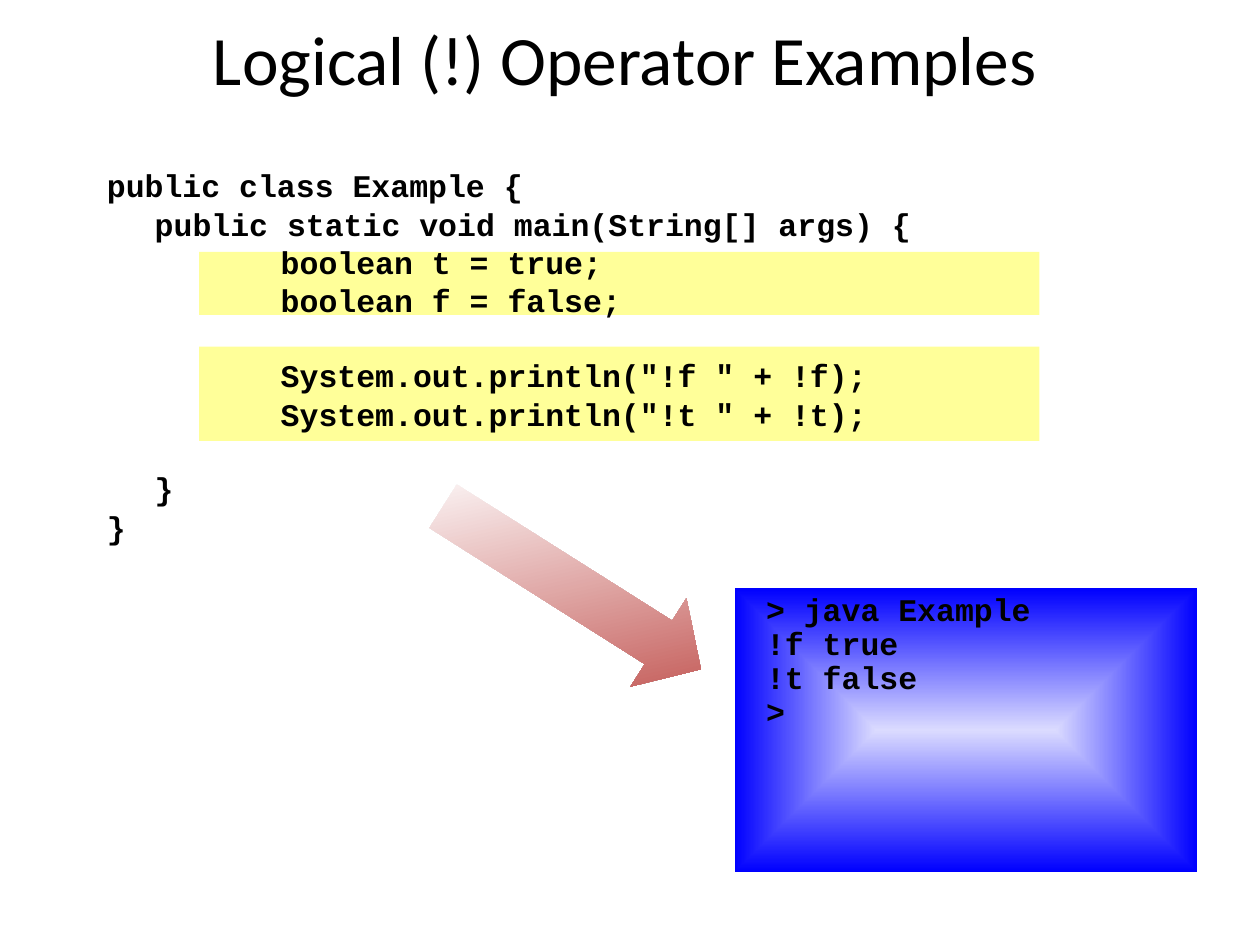
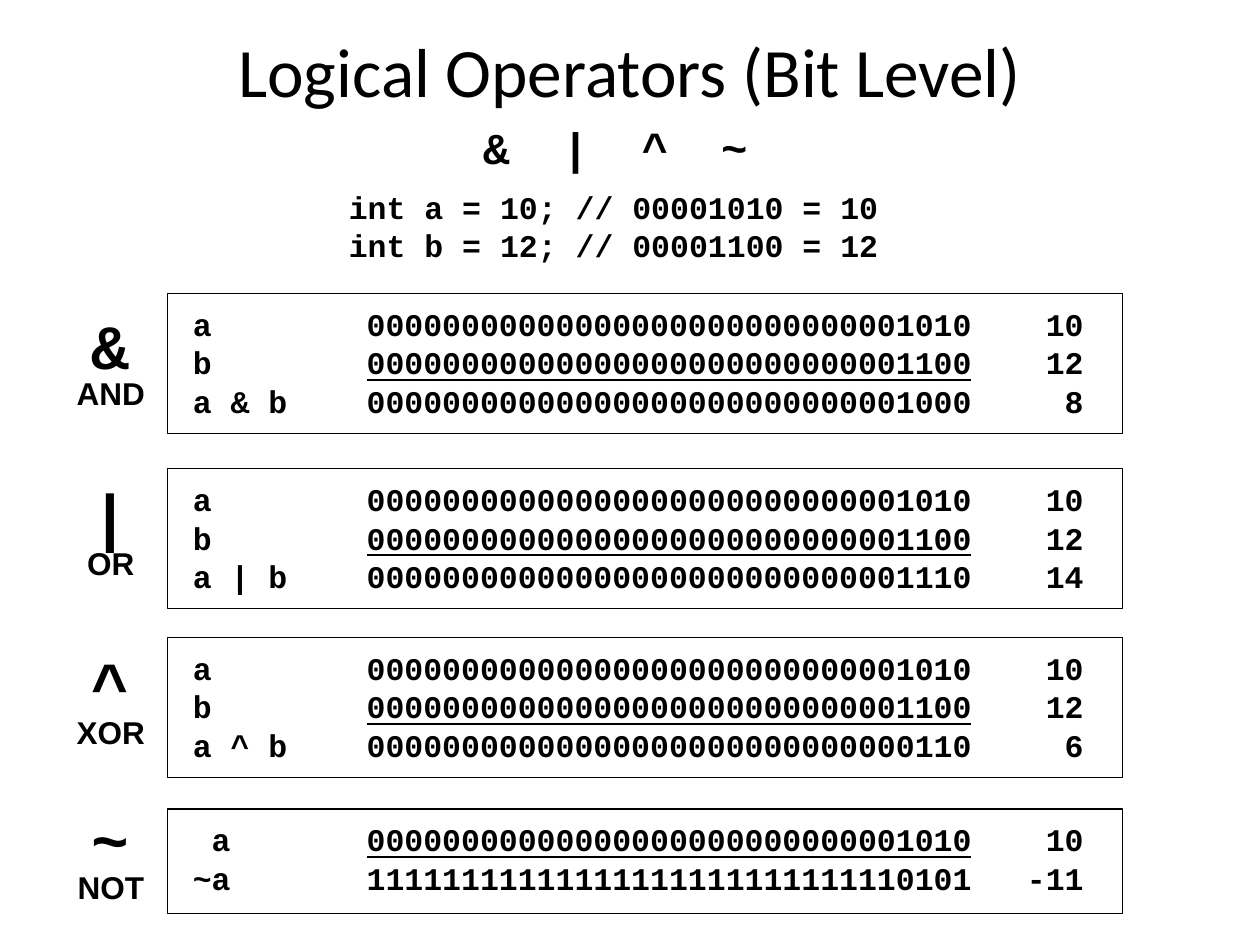
from dataclasses import dataclass

from lxml import etree
from pptx import Presentation
from pptx.dml.color import RGBColor
from pptx.enum.shapes import MSO_SHAPE
from pptx.enum.text import MSO_ANCHOR, PP_ALIGN
from pptx.oxml.ns import qn
from pptx.util import Emu, Pt

RECTANGLE = MSO_SHAPE.RECTANGLE
RIGHT_ARROW = MSO_SHAPE.RIGHT_ARROW
TOP, MIDDLE = MSO_ANCHOR.TOP, MSO_ANCHOR.MIDDLE
LEFT, CENTER = PP_ALIGN.LEFT, PP_ALIGN.CENTER

# Shared style: 100 px to the inch
SCALE = 9144
BLACK, WHITE = "000000", "FFFFFF"
YELLOW, RED = "FFFF99", "C0504D"
PALE_BLUE, BLUE = "DBDBFF", "0000FF"
TITLE_FONT, CODE_FONT, LABEL_FONT = "Calibri", "Courier New", "Arial"
TITLE_SIZE, OPERATOR_SIZE, SYMBOL_SIZE, CODE_SIZE = 39.6, 25.2, 36, 18
TIGHT = 0.8
CODE_GAP, CODE_PITCH = 4.6, 20.9
CODE_TABS = ((38, "l"), (138, "l"))
BIT_TABS = ((138, "l"), (707, "r"))


@dataclass(frozen=True)
class Box:
    left: int
    top: int
    width: int
    height: int


@dataclass(frozen=True)
class Term:
    label: str
    value: int


@dataclass(frozen=True)
class Operation:
    symbol: str
    name: str
    top: int
    height: int
    label_top: int
    terms: tuple[Term, ...]


A, B = Term("a", 10), Term("b", 12)
OPERATIONS = (
    Operation("&", "AND", 233, 111, 250, (A, B, Term("a & b", 10 & 12))),
    Operation("|", "OR", 372, 111, 385, (A, B, Term("a | b", 10 | 12))),
    Operation("^", "XOR", 506, 111, 519, (A, B, Term("a ^ b", 10 ^ 12))),
    Operation("~", "NOT", 642, 83, 642, (Term(" a", 10), Term("~a", ~10))),
)

EXAMPLE_CODE = """public class Example {
\tpublic static void main(String[] args) {
\t\tboolean t = true;
\t\tboolean f = false;

\t\tSystem.out.println("!f " + !f);
\t\tSystem.out.println("!t " + !t);

\t}
}"""
DECLARATIONS = """int a = 10; // 00001010 = 10
int b = 12; // 00001100 = 12"""
CONSOLE_OUTPUT = """> java Example
!f true
!t false
>"""


def px(length: int) -> Emu:
    return Emu(length * SCALE)


def color(hex_value: str) -> RGBColor:
    return RGBColor.from_string(hex_value)


def place(box: Box) -> tuple[Emu, ...]:
    return px(box.left), px(box.top), px(box.width), px(box.height)


# Text helpers
def set_font(font, name: str, size: float, bold: bool = True) -> None:
    font.name, font.size, font.bold = name, Pt(size), bold
    font.color.rgb = color(BLACK)


def prepare_frame(shape, anchor=TOP, inset_x: int = 10, inset_y: int = 5):
    frame = shape.text_frame
    frame.word_wrap = True
    frame.vertical_anchor = anchor
    frame.margin_left = frame.margin_right = px(inset_x)
    frame.margin_top = frame.margin_bottom = px(inset_y)
    return frame


def next_paragraph(frame, alignment=LEFT, spacing: float = 1.0):
    paragraph = frame.paragraphs[0]
    if paragraph.runs:
        paragraph = frame.add_paragraph()
    paragraph.alignment = alignment
    paragraph.line_spacing = spacing
    return paragraph


def add_run(paragraph, text: str):
    run = paragraph.add_run()
    run.text = text
    return run


def add_tabs(paragraph, tabs) -> None:
    tab_list = etree.SubElement(paragraph._p.get_or_add_pPr(), qn("a:tabLst"))
    for position, alignment in tabs:
        etree.SubElement(tab_list, qn("a:tab"),
                         pos=str(px(position)), algn=alignment)


def add_text_box(slide, box: Box, **frame_options):
    return prepare_frame(slide.shapes.add_textbox(*place(box)), **frame_options)


def add_title(slide, box: Box, text: str, spacing: float = 1.0):
    frame = add_text_box(slide, box, anchor=MIDDLE)
    paragraph = next_paragraph(frame, CENTER, spacing)
    add_run(paragraph, text)
    set_font(paragraph.font, TITLE_FONT, TITLE_SIZE, bold=False)
    return frame


def add_code(slide, box: Box, code: str) -> None:
    """Write code lines; an empty line widens the gap before the next one."""
    frame = add_text_box(slide, box)
    gap = 0.0
    for line in code.splitlines():
        if not line:
            gap += CODE_PITCH
            continue
        paragraph = next_paragraph(frame, spacing=TIGHT)
        add_tabs(paragraph, CODE_TABS)
        paragraph.space_before = Pt(gap)
        add_run(paragraph, line)
        set_font(paragraph.font, CODE_FONT, CODE_SIZE)
        gap = CODE_GAP


# Shape helpers
def add_shape(slide, kind, box: Box):
    shape = slide.shapes.add_shape(kind, *place(box))
    shape.shadow.inherit = False
    shape.line.fill.background()
    return shape


def fill_gradient(shape, start: str, end: str):
    shape.fill.gradient()
    for stop, position, hex_value in zip(shape.fill.gradient_stops, (0, 1), (start, end)):
        stop.position = position
        stop.color.rgb = color(hex_value)


def fill_from_center(shape, inner: str, outer: str) -> None:
    fill_gradient(shape, inner, outer)
    linear = shape._element.spPr.find(f".//{qn('a:lin')}")
    path = etree.Element(qn("a:path"), path="shape")
    etree.SubElement(path, qn("a:fillToRect"), l="50000", t="50000", r="50000", b="50000")
    linear.getparent().replace(linear, path)


def add_operation(slide, operation: Operation) -> None:
    """Draw the bit table of one operator and its label on the left."""
    shape = add_shape(slide, RECTANGLE, Box(133, operation.top, 758, operation.height))
    shape.fill.background()
    shape.line.color.rgb = color(BLACK)
    shape.line.width = Pt(0.75)
    frame = prepare_frame(shape, inset_x=20, inset_y=15)
    last_operand = operation.terms[-2]
    for index, term in enumerate(operation.terms):
        paragraph = next_paragraph(frame, spacing=TIGHT)
        add_tabs(paragraph, BIT_TABS)
        paragraph.space_before = Pt(CODE_GAP if index else 0)
        add_run(paragraph, f"{term.label}\t")
        bits = add_run(paragraph, format(term.value & 0xFFFFFFFF, "032b"))
        if term is last_operand:
            bits.font.underline = True
        add_run(paragraph, f"\t{term.value}")
        set_font(paragraph.font, CODE_FONT, CODE_SIZE)

    label = add_text_box(slide, Box(51, operation.label_top, 74, 82), inset_x=0)
    for text, font_name, size in ((operation.symbol, CODE_FONT, SYMBOL_SIZE),
                                  (operation.name, LABEL_FONT, CODE_SIZE)):
        paragraph = next_paragraph(label, CENTER, TIGHT)
        add_run(paragraph, text)
        set_font(paragraph.font, font_name, size)


# Slides
def build_not_example(slide) -> None:
    add_title(slide, Box(42, 17, 908, 58), "Logical (!) Operator Examples")

    # Arrow from the code to its output
    arrow = add_shape(slide, RIGHT_ARROW, Box(333, 425, 242, 83))
    arrow.rotation = 32.3
    arrow.adjustments[0], arrow.adjustments[1] = 0.49, 0.48
    fill_gradient(arrow, WHITE, RED)
    arrow.fill.gradient_angle = 315

    # Highlighted code
    for top, height in ((200, 50), (275, 75)):
        highlight = add_shape(slide, RECTANGLE, Box(158, top, 667, height))
        highlight.fill.solid()
        highlight.fill.fore_color.rgb = color(YELLOW)
    add_code(slide, Box(75, 133, 767, 333), EXAMPLE_CODE)

    # Console window
    console = add_shape(slide, RECTANGLE, Box(583, 467, 367, 225))
    fill_from_center(console, PALE_BLUE, BLUE)
    frame = prepare_frame(console, inset_x=25)
    for line in CONSOLE_OUTPUT.splitlines():
        paragraph = next_paragraph(frame, spacing=0.9)
        add_run(paragraph, line)
        set_font(paragraph.font, CODE_FONT, CODE_SIZE)


def build_bit_level(slide) -> None:
    frame = add_title(slide, Box(75, 42, 850, 92), "Logical Operators (Bit Level)", TIGHT)

    # Operators, spread by letter spacing, on a line as tall as the title
    paragraph = next_paragraph(frame, CENTER, TIGHT)
    operators = add_run(paragraph, "& | ^ ~")
    set_font(operators.font, CODE_FONT, OPERATOR_SIZE)
    operators._r.get_or_add_rPr().set("spc", "756")
    set_font(add_run(paragraph, " ").font, TITLE_FONT, TITLE_SIZE, bold=False)

    add_code(slide, Box(267, 150, 492, 67), DECLARATIONS)
    for operation in OPERATIONS:
        add_operation(slide, operation)


def main() -> None:
    presentation = Presentation()
    presentation.slide_width, presentation.slide_height = px(1000), px(750)
    blank_layout = presentation.slide_layouts[6]
    for build in (build_not_example, build_bit_level):
        build(presentation.slides.add_slide(blank_layout))
    presentation.save("out.pptx")


if __name__ == "__main__":
    main()
